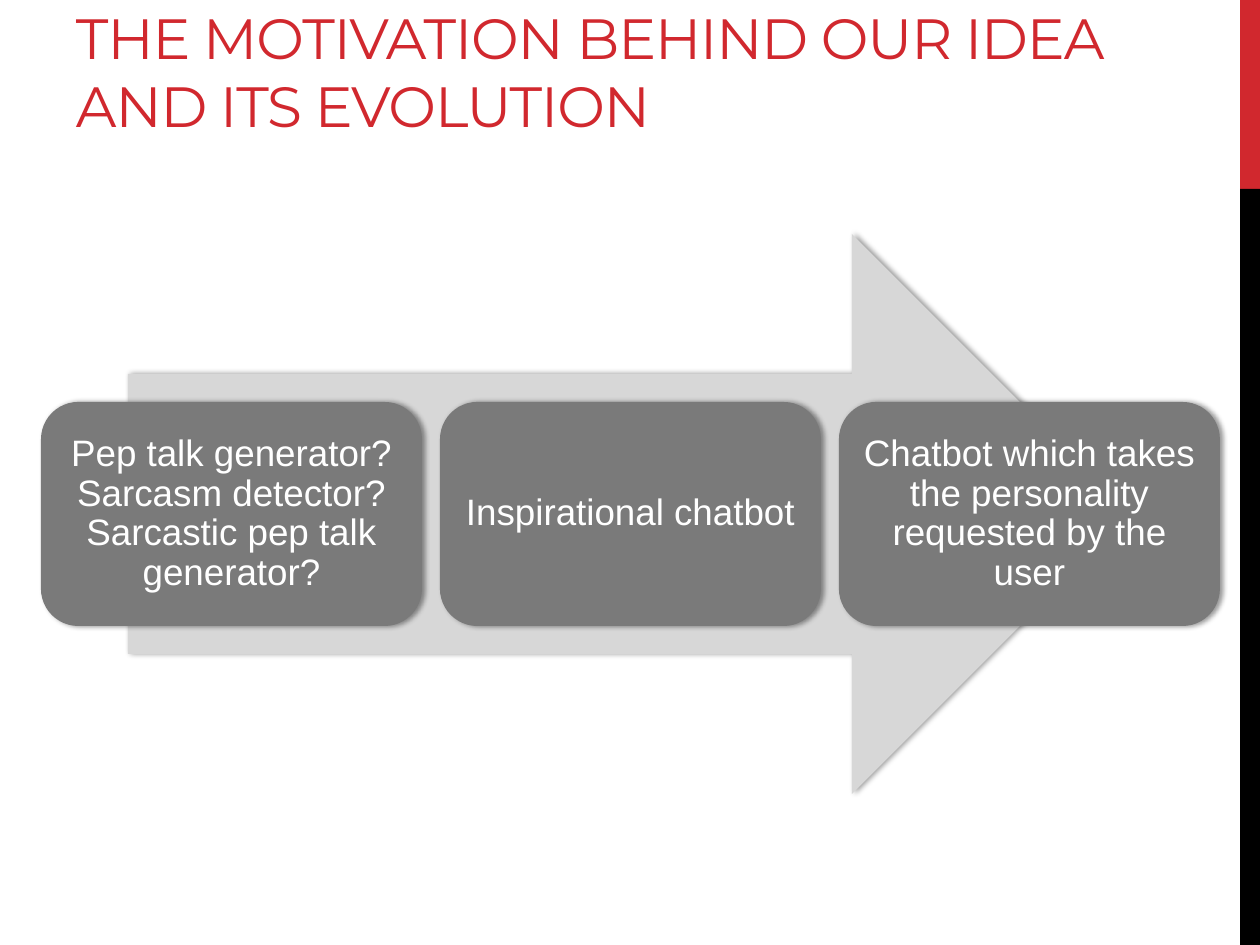
from dataclasses import dataclass

from lxml.etree import SubElement
from pptx import Presentation
from pptx.dml.color import RGBColor
from pptx.enum.shapes import MSO_SHAPE
from pptx.enum.text import MSO_ANCHOR, MSO_AUTO_SIZE, PP_ALIGN
from pptx.oxml.ns import qn
from pptx.util import Emu, Pt

EMU_PER_PIXEL = 914400 / 126


@dataclass(frozen=True)
class Theme:
    """Colours, fonts and type sizes of the slide."""
    red: str = "D1282E"
    black: str = "000000"
    arrow: str = "D7D7D7"
    stage: str = "7A7A7A"
    white: str = "FFFFFF"
    title_font: str = "Montserrat"
    body_font: str = "Arial"
    title_size: float = 32.4
    body_size: float = 21


THEME = Theme()
STAGES = (
    "Pep talk generator? Sarcasm detector? Sarcastic pep talk generator?",
    "Inspirational chatbot",
    "Chatbot which takes the personality requested by the user",
)


def px(pixels):
    """Turn pixels into EMU."""
    return Emu(round(pixels * EMU_PER_PIXEL))


def style_font(font, name, size, color):
    """Set face, size and colour of a font."""
    font.name = name
    font.size = Pt(size)
    font.color.rgb = RGBColor.from_string(color)


def set_margins(frame, left, top, right, bottom):
    """Set the inner margins of a text frame in pixels."""
    frame.margin_left, frame.margin_top = px(left), px(top)
    frame.margin_right, frame.margin_bottom = px(right), px(bottom)


def add_block(slide, preset, box, color):
    """Add a borderless, shadowless filled shape."""
    block = slide.shapes.add_shape(preset, *map(px, box))
    block.shadow.inherit = False
    block.fill.solid()
    block.fill.fore_color.rgb = RGBColor.from_string(color)
    block.line.fill.background()
    return block


def add_soft_shadow(block):
    """Give a shape a faint shadow to its right."""
    effects = block._element.spPr.find(qn("a:effectLst"))
    shadow = SubElement(effects, qn("a:outerShdw"), blurRad=str(Pt(3.1)),
                        dist=str(Pt(1.8)), dir="0", rotWithShape="0")
    color = SubElement(shadow, qn("a:srgbClr"), val=THEME.black)
    SubElement(color, qn("a:alpha"), val="40000")


def add_title(slide, wording):
    """Fill and format the title placeholder."""
    title = slide.shapes.title
    title.left, title.top, title.width, title.height = map(px, (63, 21, 1179, 189))
    frame = title.text_frame
    frame.text = wording
    frame.word_wrap = True
    frame.auto_size = MSO_AUTO_SIZE.NONE
    frame.vertical_anchor = MSO_ANCHOR.BOTTOM
    set_margins(frame, 13, 0, 13, 71)
    paragraph = frame.paragraphs[0]
    paragraph.alignment = PP_ALIGN.LEFT
    for run in paragraph.runs:
        style_font(run.font, THEME.title_font, THEME.title_size, THEME.red)
        run._r.get_or_add_rPr().set("spc", "-60")


def add_stage(slide, box, wording):
    """Add one rounded stage with centred text."""
    stage = add_block(slide, MSO_SHAPE.ROUNDED_RECTANGLE, box, THEME.stage)
    add_soft_shadow(stage)
    frame = stage.text_frame
    frame.text = wording
    frame.word_wrap = True
    frame.vertical_anchor = MSO_ANCHOR.MIDDLE
    set_margins(frame, 11, 11, 11, 11)
    paragraph = frame.paragraphs[0]
    paragraph.alignment = PP_ALIGN.CENTER
    paragraph.line_spacing = 0.9
    for run in paragraph.runs:
        style_font(run.font, THEME.body_font, THEME.body_size, THEME.white)


def main():
    """Build and save the slide."""
    deck = Presentation()
    deck.slide_width, deck.slide_height = px(1260), px(945)
    slide = deck.slides.add_slide(deck.slide_layouts[5])

    add_block(slide, MSO_SHAPE.RECTANGLE, (1240, 0, 20, 189), THEME.red)
    add_block(slide, MSO_SHAPE.RECTANGLE, (1240, 189, 20, 756), THEME.black)
    add_title(slide, "THE MOTIVATION BEHIND OUR IDEA AND ITS EVOLUTION")

    arrow = add_block(slide, MSO_SHAPE.RIGHT_ARROW, (128, 234, 1004, 560), THEME.arrow)
    add_soft_shadow(arrow)
    stage_width, gap = 381, 18
    for index, wording in enumerate(STAGES):
        left = 41 + index * (stage_width + gap)
        add_stage(slide, (left, 402, stage_width, 224), wording)

    deck.save("out.pptx")


main()
